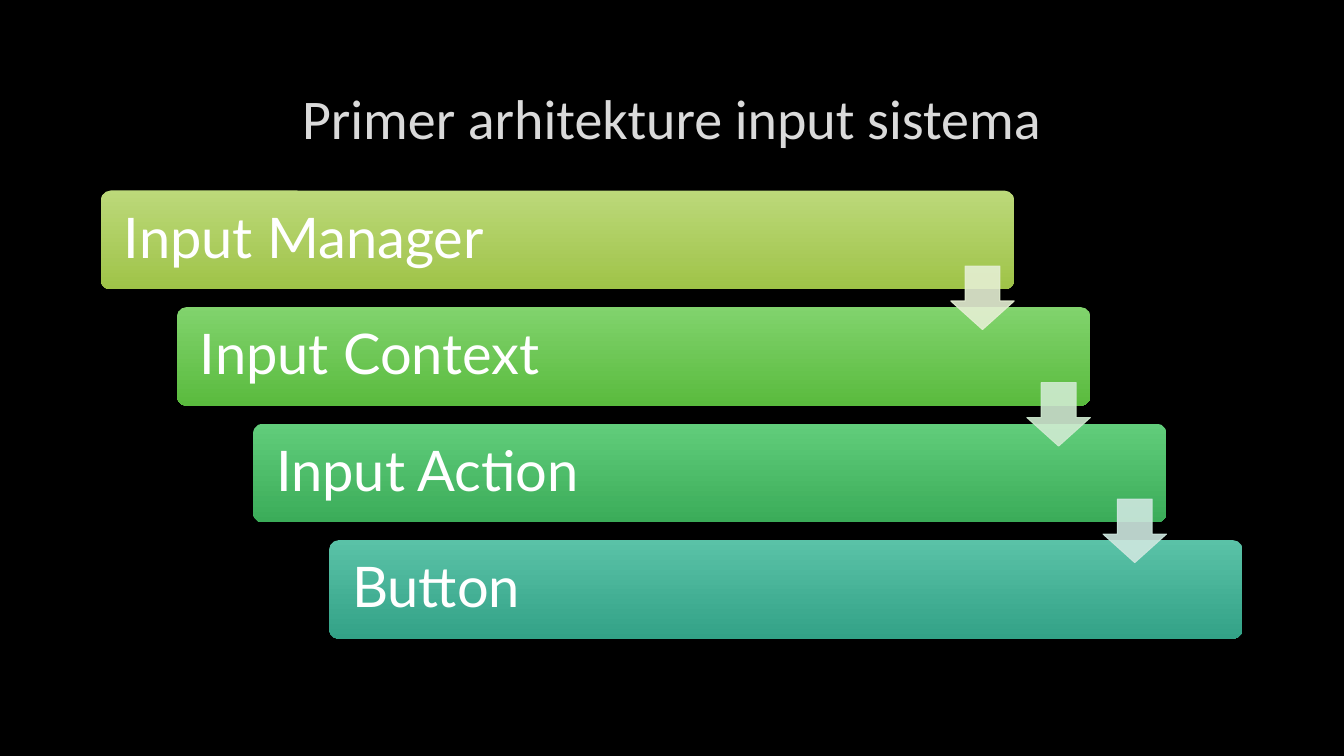
from pptx import Presentation
from pptx.dml.color import RGBColor
from pptx.enum.shapes import MSO_SHAPE as SHAPE
from pptx.enum.text import MSO_ANCHOR as ANCHOR, PP_ALIGN as ALIGN
from pptx.oxml.ns import qn
from pptx.util import Inches, Pt
from lxml.etree import SubElement

TITLE = "Primer arhitekture input sistema"
STEPS = [
    ("Input Manager", "BCD97A", "9FC348"),
    ("Input Context", "81D36D", "5ABB3E"),
    ("Input Action", "61CD7B", "3BAC59"),
    ("Button", "5AC2A7", "33A287"),
]
ARROWS = ["E5EFD3", "D0EBD1", "CEE7DF"]
LEFT, TOP = 1, 1.89
STEP_X, STEP_Y = 0.755, 1.156
BAR_W, BAR_H = 9.06, 0.98
ARROW = 0.63
ARROW_DROP = 0.75


def rgb(value):
    return RGBColor.from_string(value)


def format_text(tf, font, color, align):
    tf.word_wrap = True
    tf.vertical_anchor = ANCHOR.MIDDLE
    p = tf.paragraphs[0]
    p.alignment = align
    p.line_spacing = 0.9
    r = p.runs[0]
    r.font.name = font
    r.font.size = Pt(40)
    r.font.color.rgb = rgb(color)


def add_shape(s, kind, x, y, w, h):
    sp = s.shapes.add_shape(kind, Inches(x), Inches(y), Inches(w), Inches(h))
    sp.shadow.inherit = False
    return sp


def add_bar(s, x, y, text, top_color, bottom_color):
    sp = add_shape(s, SHAPE.ROUNDED_RECTANGLE, x, y, BAR_W, BAR_H)
    sp.adjustments[0] = 0.1
    sp.line.fill.background()
    sp.fill.gradient()
    sp.fill.gradient_angle = 270
    for stop, color in zip(sp.fill.gradient_stops, (top_color, bottom_color)):
        stop.color.rgb = rgb(color)
    tf = sp.text_frame
    tf.text = text
    tf.margin_left = tf.margin_right = Inches(0.2)
    format_text(tf, "Lato", "FFFFFF", ALIGN.LEFT)


def add_arrow(s, x, y, color):
    sp = add_shape(s, SHAPE.DOWN_ARROW, x, y, ARROW, ARROW)
    sp.adjustments[0] = 0.55
    sp.adjustments[1] = 0.45
    sp.fill.solid()
    sp.line.width = Pt(0.75)
    for target in (sp.fill.fore_color, sp.line.color):
        target.rgb = rgb(color)
    for clr in sp.element.spPr.iter(qn("a:srgbClr")):
        SubElement(clr, qn("a:alpha"), val="90000")


def main():
    prs = Presentation()
    prs.slide_width, prs.slide_height = Inches(13.33), Inches(7.5)
    s = prs.slides.add_slide(prs.slide_layouts[5])
    s.background.fill.solid()
    s.background.fill.fore_color.rgb = rgb("000000")

    title = s.shapes.title
    title.left, title.top = Inches(1), Inches(0.67)
    title.width, title.height = Inches(11.32), Inches(1.06)
    title.text_frame.text = TITLE
    format_text(title.text_frame, "Calibri", "DADADA", ALIGN.CENTER)

    for i, step in enumerate(STEPS):
        add_bar(s, LEFT + i * STEP_X, TOP + i * STEP_Y, *step)
    for i, color in enumerate(ARROWS):
        x = LEFT + i * STEP_X + BAR_W - ARROW
        add_arrow(s, x, TOP + i * STEP_Y + ARROW_DROP, color)

    prs.save("out.pptx")


if __name__ == "__main__":
    main()
